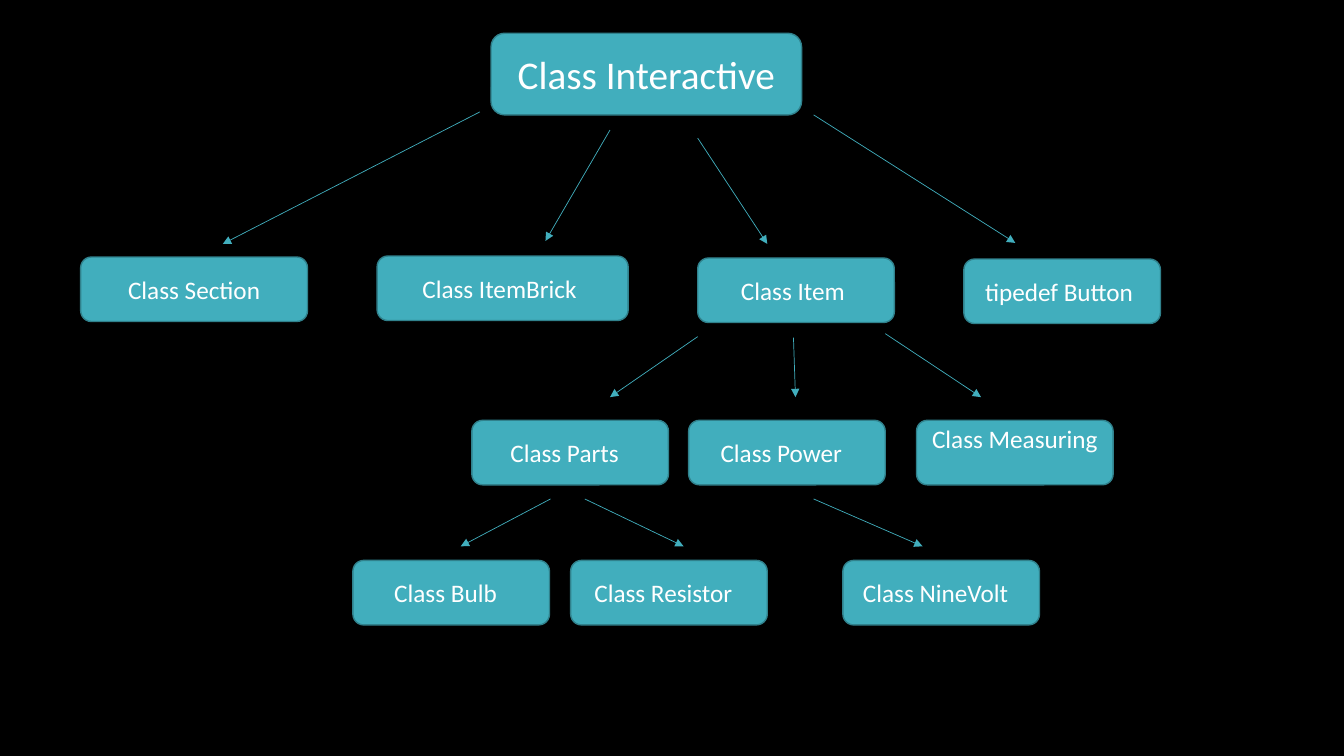
from dataclasses import dataclass

from pptx import Presentation
from pptx.dml.color import RGBColor
from pptx.enum.shapes import MSO_CONNECTOR, MSO_SHAPE
from pptx.enum.text import MSO_ANCHOR, PP_ALIGN
from pptx.oxml.ns import qn
from pptx.util import Inches, Pt
from lxml import etree


@dataclass(frozen=True)
class Theme:
    background: RGBColor = RGBColor(0x00, 0x00, 0x00)
    teal: RGBColor = RGBColor(0x41, 0xAE, 0xBD)
    border: RGBColor = RGBColor(0x30, 0x81, 0x8C)
    text: RGBColor = RGBColor(0xFF, 0xFF, 0xFF)
    font: str = "Calibri"
    root_size: Pt = Pt(28)
    class_size: Pt = Pt(18)
    border_width: Pt = Pt(1)
    arrow_width: Pt = Pt(0.5)


THEME = Theme()
CLASS_WIDTH = 1.95
CLASS_HEIGHT = 0.64
INSET = 0.1

SECOND_ROW = [
    ("Class Section", 0.8, 2.55, 2.25, 0),
    ("Class ItemBrick", 3.74, 2.54, 2.49, 0.06),
    ("Class Item", 6.92, 2.56, CLASS_WIDTH, 0.06),
    ("tipedef Button", 9.56, 2.57, CLASS_WIDTH, 0.06),
]
ITEM_TOP = 4.17
ITEM_CLASSES = [("Class Parts", 4.68), ("Class Power", 6.83)]
LEAF_TOP = 5.56
LEAF_CLASSES = [("Class Bulb", 3.5), ("Class Resistor", 5.66), ("Class NineVolt", 8.36)]
LOWER_SHIFT = 0.11

ARROWS = [
    (4.76, 1.11, 2.21, 2.42),
    (6.05, 1.29, 5.41, 2.39),
    (6.92, 1.37, 7.61, 2.42),
    (8.07, 1.14, 10.07, 2.41),
    (6.92, 3.34, 6.05, 3.94),
    (7.87, 3.35, 7.89, 3.94),
    (8.78, 3.31, 9.73, 3.94),
    (5.46, 4.95, 4.57, 5.42),
    (5.8, 4.95, 6.78, 5.42),
    (8.07, 4.95, 9.15, 5.42),
]


def add_class_box(page, label, left, top, width=CLASS_WIDTH, shift=0,
                  height=CLASS_HEIGHT, size=THEME.class_size):
    box = page.shapes.add_shape(
        MSO_SHAPE.ROUNDED_RECTANGLE,
        Inches(left), Inches(top), Inches(width), Inches(height))
    box.shadow.inherit = False
    box.fill.solid()
    box.fill.fore_color.rgb = THEME.teal
    box.line.color.rgb = THEME.border
    box.line.width = THEME.border_width
    frame = box.text_frame
    frame.word_wrap = True
    frame.vertical_anchor = MSO_ANCHOR.MIDDLE
    frame.margin_right = Inches(INSET + shift)
    para = frame.paragraphs[0]
    para.text = label
    para.alignment = PP_ALIGN.CENTER
    para.font.name = THEME.font
    para.font.size = size
    para.font.color.rgb = THEME.text
    return box


def add_arrow(page, start_x, start_y, end_x, end_y):
    arrow = page.shapes.add_connector(
        MSO_CONNECTOR.STRAIGHT,
        Inches(start_x), Inches(start_y), Inches(end_x), Inches(end_y))
    arrow.line.color.rgb = THEME.teal
    arrow.line.width = THEME.arrow_width
    etree.SubElement(arrow.line._get_or_add_ln(), qn("a:tailEnd"), type="triangle")
    etree.SubElement(arrow._element.spPr, qn("a:effectLst"))


def main():
    deck = Presentation()
    deck.slide_width = Inches(13.33)
    deck.slide_height = Inches(7.5)
    page = deck.slides.add_slide(deck.slide_layouts[6])
    page.background.fill.solid()
    page.background.fill.fore_color.rgb = THEME.background

    add_class_box(page, "Class Interactive", 4.87, 0.33, 3.08,
                  height=0.81, size=THEME.root_size)
    for label, left, top, width, shift in SECOND_ROW:
        add_class_box(page, label, left, top, width, shift)
    for top, classes in ((ITEM_TOP, ITEM_CLASSES), (LEAF_TOP, LEAF_CLASSES)):
        for label, left in classes:
            add_class_box(page, label, left, top, shift=LOWER_SHIFT)

    measuring = add_class_box(page, "Class Measuring", 9.09, ITEM_TOP)
    measuring.text_frame.vertical_anchor = MSO_ANCHOR.TOP
    measuring.text_frame.margin_top = Inches(0)

    for ends in ARROWS:
        add_arrow(page, *ends)
    deck.save("out.pptx")


if __name__ == "__main__":
    main()
